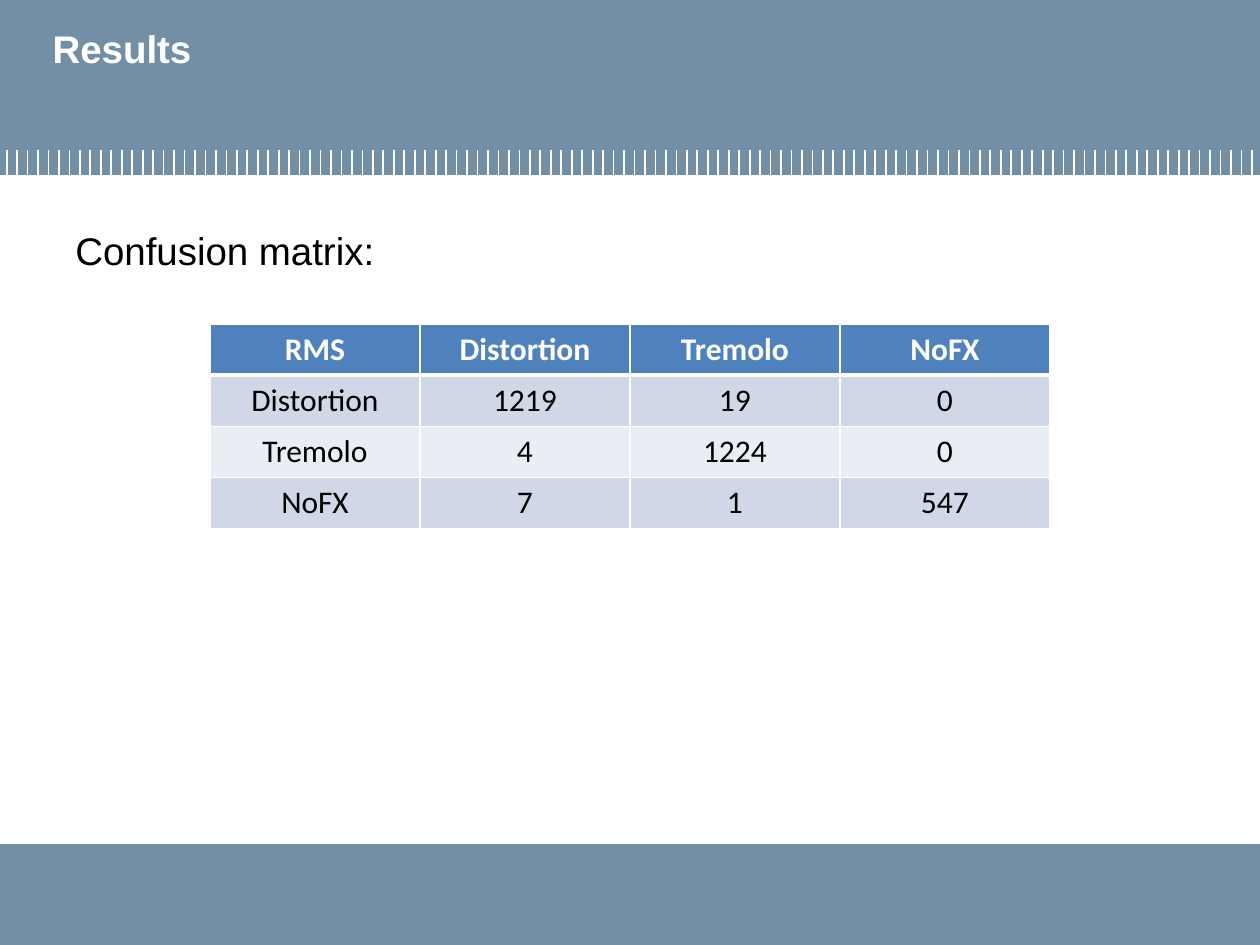
"""Build the results slide with its confusion matrix."""
from pptx import Presentation
from pptx.dml.color import RGBColor
from pptx.enum.shapes import MSO_CONNECTOR as CONN, MSO_SHAPE as SHAPE
from pptx.enum.text import MSO_ANCHOR as ANCHOR, PP_ALIGN as ALIGN
from pptx.oxml.ns import qn
from pptx.util import Pt
from lxml.etree import SubElement

WIDTH, HEIGHT = 720, 540
WHITE, BLACK, SLATE = "FFFFFF", "000000", "728FA5"
HEADER_FILL, ROW_FILLS = "4F81BD", ("D0D8E8", "E9EDF4")
BANDS = [(0, 100), (482.4, 57.6)]
TICK_COUNT, TICK_START, TICK_STEP = 120, 3.8, 5.98
TICK_TOP, TICK_BOTTOM = 85.7, 100
TEXTS = [
    ("Results", (23, 10.8, 675.4, 66.2), dict(color=WHITE, bold=True)),
    ("Confusion matrix:", (36, 126, 655.2, 356.4), dict(color=BLACK)),
]
MATRIX = [
    ("RMS", "Distortion", "Tremolo", "NoFX"),
    ("Distortion", "1219", "19", "0"),
    ("Tremolo", "4", "1224", "0"),
    ("NoFX", "7", "1", "547"),
]
TABLE_LEFT, TABLE_TOP, COL_WIDTH, ROW_HEIGHT = 120, 185.2, 120, 29.2


def rgb(value):
    """Turn a hex string into a colour."""
    return RGBColor.from_string(value)


def paint(fill, color):
    """Make a fill solid in one colour."""
    fill.solid()
    fill.fore_color.rgb = rgb(color)


def write(tf, text, color, size=22, font="Arial", bold=False, align=ALIGN.LEFT):
    """Put one formatted paragraph in a text frame."""
    p = tf.paragraphs[0]
    p.alignment = align
    r = p.add_run()
    r.text = text
    r.font.name, r.font.size, r.font.bold = font, Pt(size), bold
    r.font.color.rgb = rgb(color)


def add_band(s, top, height):
    """Draw a full-width band."""
    sp = s.shapes.add_shape(SHAPE.RECTANGLE, 0, Pt(top), Pt(WIDTH), Pt(height))
    sp.shadow.inherit = False
    paint(sp.fill, SLATE)
    sp.line.fill.background()


def add_tick(shapes, x):
    """Draw one vertical tick of the header comb."""
    line = shapes.add_connector(CONN.STRAIGHT, Pt(x), Pt(TICK_TOP), Pt(x), Pt(TICK_BOTTOM))
    line.line.color.rgb = rgb(WHITE)
    line.line.width = Pt(1)
    SubElement(line._element.spPr, qn("a:effectLst"))


def add_borders(cell, **widths):
    """Give a cell white borders, placed before its fill."""
    tc_pr = cell._tc.get_or_add_tcPr()
    for i, (side, width) in enumerate(widths.items()):
        ln = SubElement(tc_pr, qn(f"a:ln{side}"), w=str(Pt(width)))
        SubElement(SubElement(ln, qn("a:solidFill")), qn("a:srgbClr"), val=WHITE)
        tc_pr.insert(i, ln)


def add_matrix(s):
    """Draw the confusion matrix as a table."""
    rows, cols = len(MATRIX), len(MATRIX[0])
    table = s.shapes.add_table(rows, cols, Pt(TABLE_LEFT), Pt(TABLE_TOP),
                               Pt(cols * COL_WIDTH), Pt(rows * ROW_HEIGHT)).table
    for col in table.columns:
        col.width = Pt(COL_WIDTH)
    for i, values in enumerate(MATRIX):
        table.rows[i].height = Pt(ROW_HEIGHT)
        header = i == 0
        for j, value in enumerate(values):
            cell = table.cell(i, j)
            paint(cell.fill, HEADER_FILL if header else ROW_FILLS[(i - 1) % 2])
            add_borders(cell, L=1, R=1, T=3 if i == 1 else 1, B=3 if header else 1)
            write(cell.text_frame, value, WHITE if header else BLACK, size=18,
                  font="Calibri", bold=header, align=ALIGN.CENTER)


def main():
    """Assemble and save the slide."""
    prs = Presentation()
    prs.slide_width, prs.slide_height = Pt(WIDTH), Pt(HEIGHT)
    s = prs.slides.add_slide(prs.slide_layouts[6])
    for top, height in BANDS:
        add_band(s, top, height)
    comb = s.shapes.add_group_shape()
    for i in range(TICK_COUNT):
        add_tick(comb.shapes, TICK_START + i * TICK_STEP)
    for text, box, style in TEXTS:
        tf = s.shapes.add_textbox(*map(Pt, box)).text_frame
        tf.word_wrap = True
        tf.vertical_anchor = ANCHOR.TOP
        write(tf, text, **style)
    add_matrix(s)
    prs.save("out.pptx")


if __name__ == "__main__":
    main()
